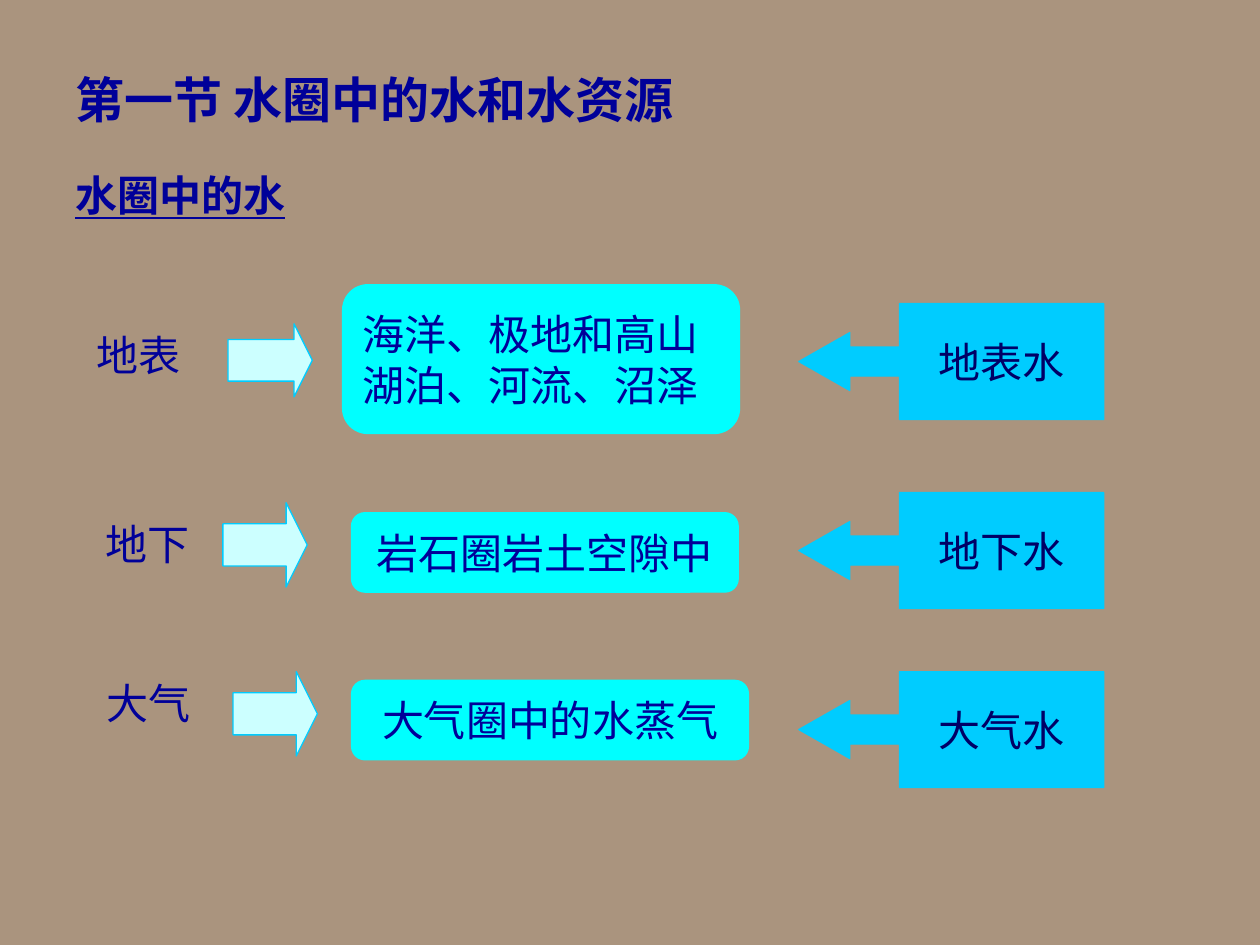
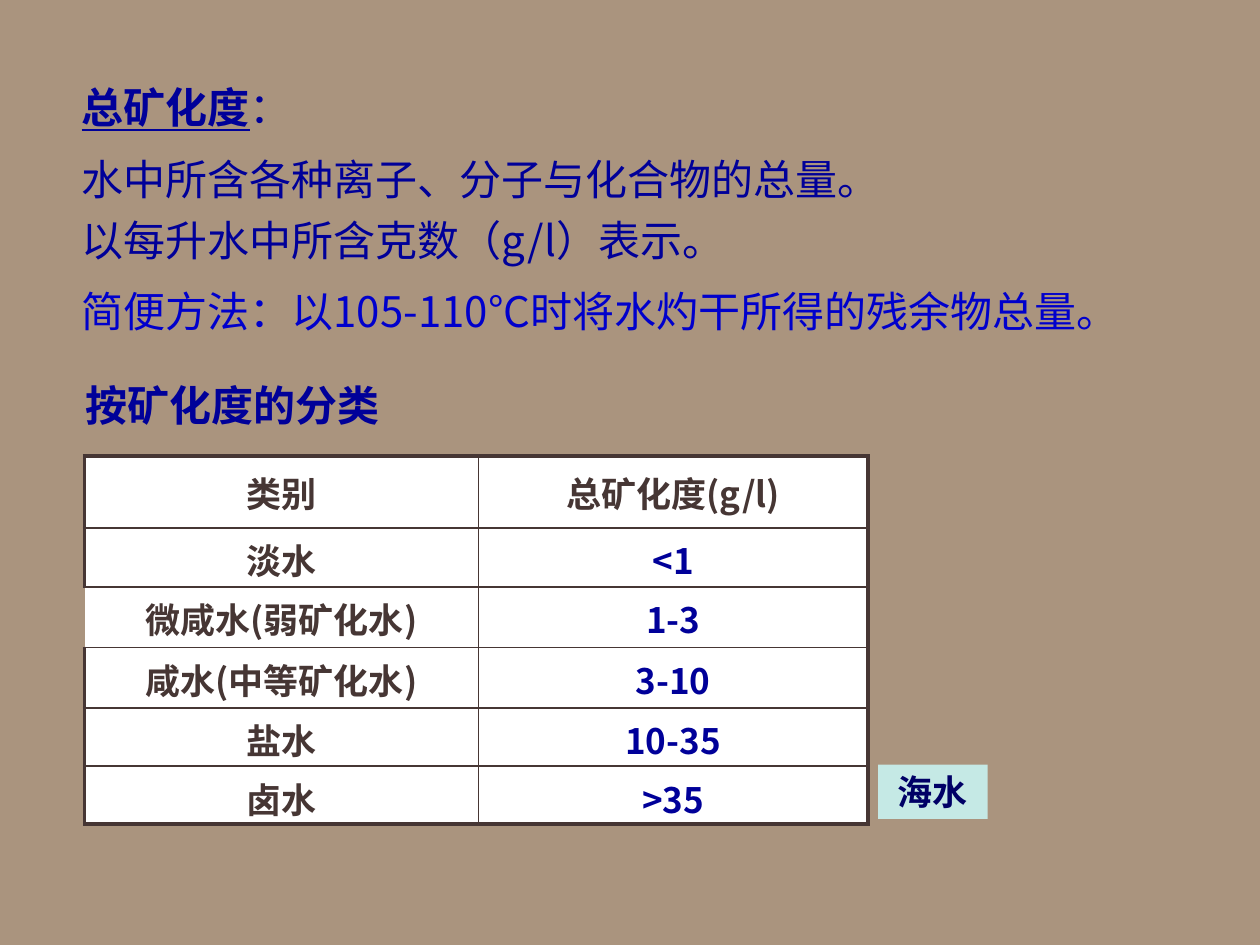
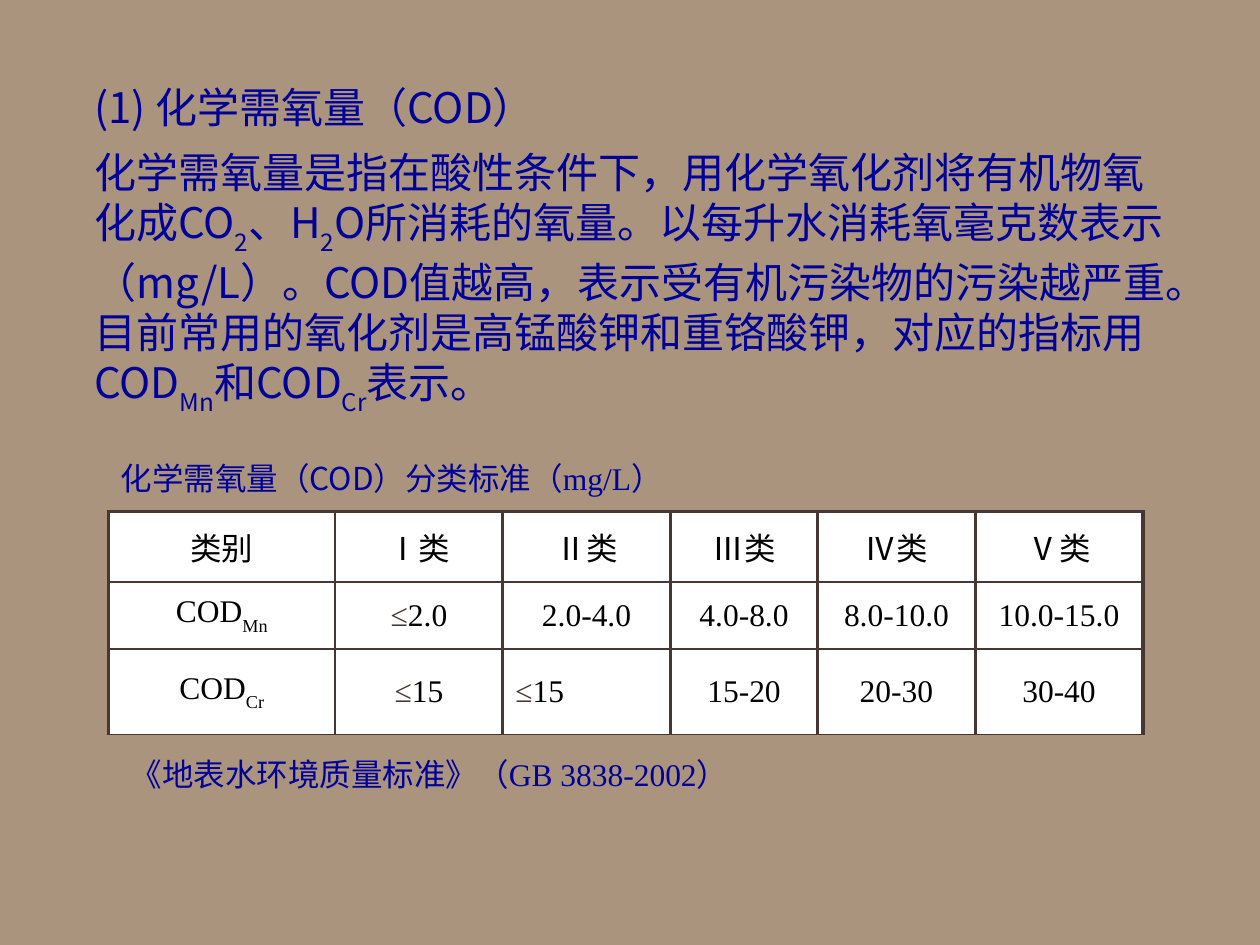
"""Build three slides on water in the hydrosphere and its mineral and COD classes."""
from lxml import etree
from pptx import Presentation
from pptx.dml.color import RGBColor
from pptx.enum.shapes import MSO_SHAPE
from pptx.enum.text import MSO_ANCHOR, MSO_AUTO_SIZE, PP_ALIGN
from pptx.oxml.ns import qn
from pptx.util import Pt

CENTER, JUSTIFY, LEFT = PP_ALIGN.CENTER, PP_ALIGN.JUSTIFY, PP_ALIGN.LEFT
MIDDLE, GROW = MSO_ANCHOR.MIDDLE, MSO_AUTO_SIZE.SHAPE_TO_FIT_TEXT
RECT, ROUND = MSO_SHAPE.RECTANGLE, MSO_SHAPE.ROUNDED_RECTANGLE
ARROW, CALLOUT = MSO_SHAPE.RIGHT_ARROW, MSO_SHAPE.LEFT_ARROW_CALLOUT

COLORS = {
    "back": "AA947E", "ink": "000099", "method": "0000CC", "navy": "000066",
    "pale": "CCFFFF", "cyan": "00FFFF", "sky": "00CCFF",
    "brown": "463634", "black": "000000", "white": "FFFFFF",
}
SANS, SERIF = "Noto Sans CJK SC", "Times New Roman"
SUB = {"base": -30000}


def rgb(name):
    return RGBColor.from_string(COLORS[name])


def write(p, text, size=24, font=SANS, color="ink", bold=False, underline=False,
          base=0, align=LEFT, before=0, after=0):
    """Fill a paragraph from a string or from (text, overrides) runs."""
    p.alignment, p.space_before, p.space_after = align, Pt(before), Pt(after)
    shared = dict(size=size, font=font, color=color, bold=bold,
                  underline=underline, base=base)
    for part, own in [(text, {})] if isinstance(text, str) else text:
        fmt = {**shared, **own}
        r = p.add_run()
        r.text = part
        r.font.size, r.font.name = Pt(fmt["size"]), fmt["font"]
        r.font.bold, r.font.underline = fmt["bold"], fmt["underline"]
        r.font.color.rgb = rgb(fmt["color"])
        rPr = r.font._element
        etree.SubElement(rPr, qn("a:ea"), typeface=SANS)
        if fmt["base"]:
            rPr.set("baseline", str(fmt["base"]))


class Deck:
    """Hold the shared style and the current slide."""

    def __init__(self):
        self.prs = Presentation()
        self.prs.slide_width, self.prs.slide_height = Pt(720), Pt(540)
        self.s = None

    def slide(self):
        self.s = self.prs.slides.add_slide(self.prs.slide_layouts[6])
        fill = self.s.background.fill
        fill.solid()
        fill.fore_color.rgb = rgb("back")

    def paragraphs(self, tf, paras, **fmt):
        for i, (text, own) in enumerate(paras):
            p = tf.paragraphs[0] if i == 0 else tf.add_paragraph()
            write(p, text, **{**fmt, **own})

    def text(self, box, *paras, **fmt):
        tf = self.s.shapes.add_textbox(*map(Pt, box)).text_frame
        tf.word_wrap, tf.auto_size = True, GROW
        self.paragraphs(tf, paras, **fmt)

    def shape(self, kind, box, fill, line=None, adj=(), lines=(), alpha=None, **fmt):
        sp = self.s.shapes.add_shape(kind, *map(Pt, box))
        sp.shadow.inherit = False
        for i, value in enumerate(adj):
            sp.adjustments[i] = value
        sp.fill.solid()
        sp.fill.fore_color.rgb = rgb(fill)
        if alpha:
            clr = sp._element.spPr.find(".//" + qn("a:srgbClr"))
            etree.SubElement(clr, qn("a:alpha"), val=str(alpha * 1000))
        if line:
            sp.line.color.rgb, sp.line.width = rgb(line), Pt(0.75)
        else:
            sp.line.fill.background()
        tf = sp.text_frame
        tf.word_wrap, tf.vertical_anchor = False, MIDDLE
        self.paragraphs(tf, [(text, {}) for text in lines], **fmt)

    def border(self, tcPr, side, width):
        ln = etree.SubElement(tcPr, qn("a:ln" + side), w=str(Pt(width)))
        if width:
            fill = etree.SubElement(ln, qn("a:solidFill"))
            etree.SubElement(fill, qn("a:srgbClr"), val=COLORS["brown"])
        else:
            etree.SubElement(ln, qn("a:noFill"))

    def table(self, x, y, cols, heights, rows, vlines, hlines, open_left=(),
              margin=None, **fmt):
        """Add a table whose rows hold (text, format) cells."""
        box = map(Pt, (x, y, sum(cols), sum(heights)))
        table = self.s.shapes.add_table(len(rows), len(cols), *box).table
        table.first_row = table.horz_banding = False
        for col, width in zip(table.columns, cols):
            col.width = Pt(width)
        for i, (row, height) in enumerate(zip(rows, heights)):
            table.rows[i].height = Pt(height)
            for j, (text, own) in enumerate(row):
                cell = table.cell(i, j)
                cell.vertical_anchor = MIDDLE
                if margin:
                    cell.margin_left = cell.margin_right = Pt(margin[j])
                    cell.margin_top = cell.margin_bottom = 0
                tcPr = cell._tc.get_or_add_tcPr()
                left = 0 if (i, j) in open_left else vlines[j]
                widths = left, vlines[j + 1], hlines[i], hlines[i + 1]
                for side, width in zip("LRTB", widths):
                    self.border(tcPr, side, width)
                cell.fill.solid()
                cell.fill.fore_color.rgb = rgb("white")
                write(cell.text_frame.paragraphs[0], text,
                      **{"align": CENTER, **fmt, **own})


def water_slide(deck):
    deck.slide()
    deck.text((36, 36, 613.5, 97),
              ("第一节 水圈中的水和水资源", {"size": 28, "align": JUSTIFY, "after": 12}),
              ("水圈中的水", {"underline": True, "align": JUSTIFY, "before": 12}),
              bold=True)
    flows = [
        ("地表", (48.2, 185, 63.4, 36), (130.3, 185, 48.2, 41.8), 0.57,
         ["海洋、极地和高山", "湖泊、河流、沼泽"], (195.8, 162.7, 226.8, 85), JUSTIFY, 173.5),
        ("地下", (53.3, 293, 63.4, 36), (127.4, 287.3, 48.2, 48.2), 0.5,
         ["岩石圈岩土空隙中"], (200.9, 293, 221, 45.4), CENTER, 281.5),
        ("大气", (54, 383.8, 67.7, 36), (133.2, 383.8, 48.2, 48.2), 0.5,
         ["大气圈中的水蒸气"], (200.9, 388.8, 226.8, 45.4), CENTER, 383.8),
    ]
    for place, label, arrow, shaft, lines, box, align, top in flows:
        deck.text(label, (place, {}), font=SERIF)
        deck.shape(ARROW, arrow, "pale", "sky", (shaft, 0.25))
        deck.shape(ROUND, box, "cyan", "cyan", (0.17,), lines, font=SERIF, align=align)
        deck.shape(CALLOUT, (456.5, top, 174.2, 66.2), "sky", "sky",
                   (0.25, 0.25, 0.44, 0.67), [place + "水"],
                   font=SERIF, color="navy", align=CENTER)


def mineral_slide(deck):
    deck.slide()
    deck.text((39.6, 43.2, 678.2, 152.6),
              ([("总矿化度", {"bold": True, "underline": True}), ("：", {})], {}),
              ("水中所含各种离子、分子与化合物的总量。", {"before": 12}),
              ("以每升水中所含克数（g/l）表示。", {"before": 6, "after": 6}),
              ("简便方法：以105-110°C时将水灼干所得的残余物总量。",
               {"before": 6, "color": "method"}))
    deck.text((41.8, 213.1, 534, 36), ("按矿化度的分类", {}), bold=True)
    classes = [("淡水", "<1"), ("微咸水(弱矿化水)", "1-3"), ("咸水(中等矿化水)", "3-10"),
               ("盐水", "10-35"), ("卤水", ">35")]
    rows = [[("类别", {}), ("总矿化度(g/l)", {})]]
    rows += [[(name, {}), (value, {"color": "ink"})] for name, value in classes]
    deck.table(48.3, 260.6, [225, 222.8], [41, 33.8, 34.6, 34.6, 33.2, 33.2], rows,
               [2.25, 1, 2.25], [2.25] + [1] * 5 + [2.25], open_left={(2, 0)},
               size=20, color="brown", bold=True)
    deck.shape(RECT, (501.8, 437, 62.6, 31), "pale", lines=["海水"], alpha=80,
               size=20, color="navy", bold=True, align=CENTER)


def cod_slide(deck):
    deck.slide()
    deck.text((46.8, 43.2, 630.7, 190.8),
              ("(1) 化学需氧量（COD）", {"align": JUSTIFY}),
              ([("化学需氧量是指在酸性条件下，用化学氧化剂将有机物氧化成CO", {}), ("2", SUB),
                ("、H", {}), ("2", SUB),
                ("O所消耗的氧量。以每升水消耗氧毫克数表示（mg/L）。COD值越高，"
                 "表示受有机污染物的污染越严重。目前常用的氧化剂是高锰酸钾和重铬酸钾，"
                 "对应的指标用COD", {}), ("Mn", SUB),
                ("和COD", {}), ("Cr", SUB), ("表示。", {})], {"before": 8}))
    deck.text((61.9, 258.5, 545.8, 28.8),
              ([("化学需氧量（COD）", {}), ("分类标准（mg/L）", {"font": SERIF})], {}), size=18)
    limits = [("Mn", ["2.0", "2.0-4.0", "4.0-8.0", "8.0-10.0", "10.0-15.0"]),
              ("Cr", ["15", "15", "15-20", "20-30", "30-40"])]
    rows = [[(name, {"font": SANS}) for name in ["类别"] + [n + "类" for n in "ⅠⅡⅢⅣⅤ"]]]
    for index, values in limits:
        row = [([("COD", {}), (index, SUB)], {})]
        for value in values:
            capped = "-" not in value
            runs = [("≤", {"color": "brown"})] if capped else []
            align = LEFT if capped and len(row) > 1 else CENTER
            row.append((runs + [(value, {})], {"align": align}))
        rows.append(row)
    deck.table(61.9, 292.3, [129.6, 95.8, 95.8, 84.2, 90, 95.8], [40.3, 38.2, 49], rows,
               [2.25, 1] + [2.25] * 5, [2.25, 1, 1, 1], margin=[0] + [7.2] * 5,
               size=18, font=SERIF, color="black")
    deck.text((67.7, 427.7, 453.6, 28.8), ("《地表水环境质量标准》（GB 3838-2002）", {}),
              size=18, font=SERIF)


def main():
    deck = Deck()
    water_slide(deck)
    mineral_slide(deck)
    cod_slide(deck)
    deck.prs.save("out.pptx")


if __name__ == "__main__":
    main()
